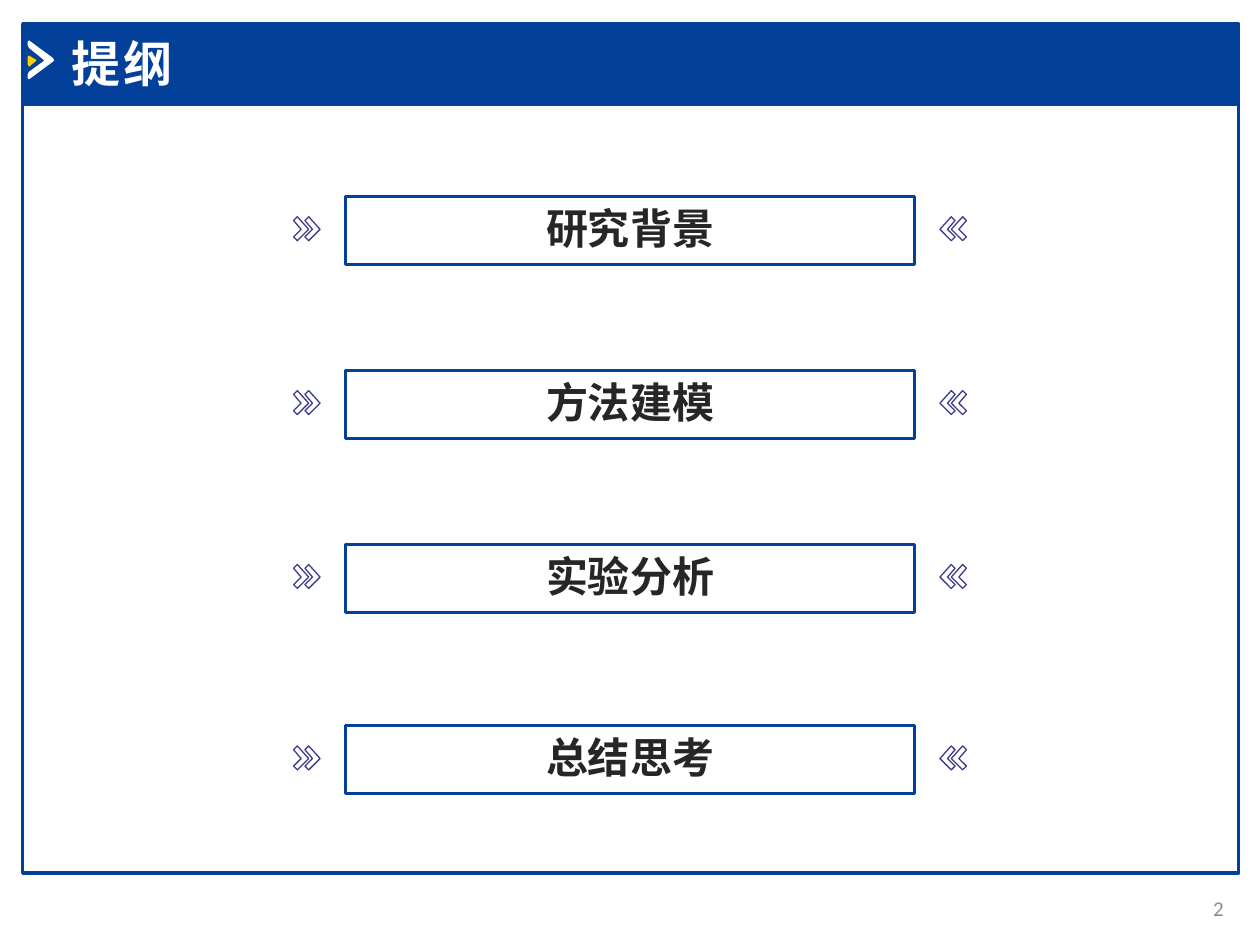
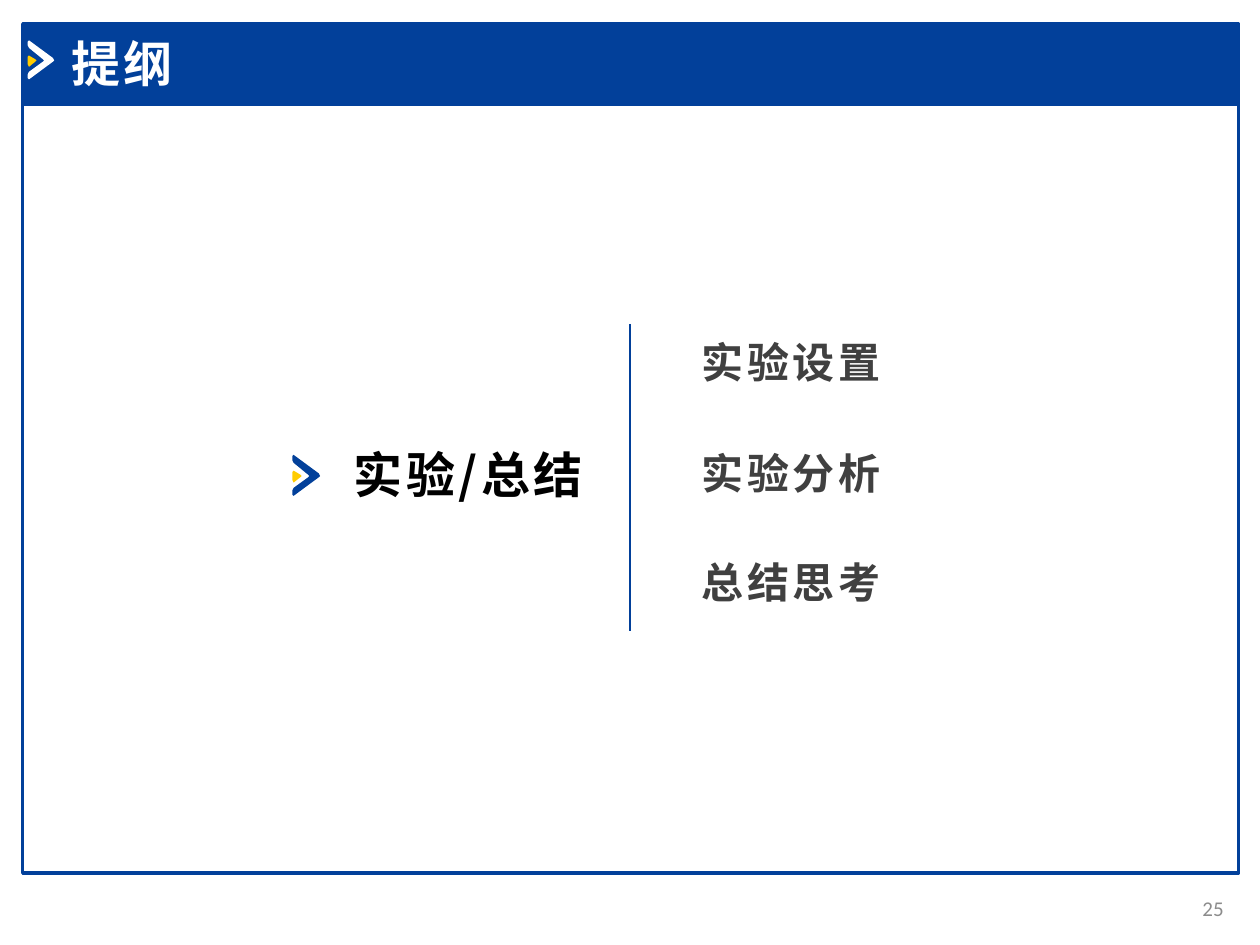
"""Build the outline slide and the section slide of a research talk."""
from dataclasses import dataclass

from lxml.etree import SubElement as Sub
from pptx import Presentation
from pptx.dml.color import RGBColor as Rgb
from pptx.enum.shapes import MSO_CONNECTOR as Link, MSO_SHAPE as Form
from pptx.enum.text import MSO_ANCHOR as Anchor, PP_ALIGN as Align
from pptx.oxml.ns import qn
from pptx.shapes.autoshape import Shape
from pptx.slide import Slide
from pptx.util import Inches, Pt

HUES = {
    "blue": "02409A", "gold": "FFCC00", "white": "FFFFFF", "gray": "8C8C8C",
    "ink": "262626", "dark": "404040", "black": "000000", "edge": "3C3C8E",
}
SANS, HAN = "Calibri", "Noto Sans CJK SC"
MID = 5

HEAD = [(.01, 0), (0, .01), (0, .04), (.01, .06), (.12, .15), (.13, .16),
        (.12, .17), (.01, .25), (0, .27), (0, .3), (.01, .31), (.2, .17),
        (.21, .16), (.2, .14)]
DOT = [(.01, .12), (0, .13), (0, .19), (.01, .21), (.06, .17), (.07, .16),
       (.06, .15)]
HOOK = [(.03, 0), (0, .03), (.06, .1), (0, .16), (.03, .19), (.12, .1)]


@dataclass
class Box:
    left: float
    top: float
    width: float
    height: float

    def args(self) -> tuple:
        return tuple(map(Inches, (self.left, self.top, self.width, self.height)))


@dataclass
class Item:
    text: str
    top: float
    width: float = 4.52


FRAME = Box(.18, .83, 9.65, 6.1)
BAND = Box(.18, .19, 9.65, .64)
TITLE = Box(.47, .22, 3.56, .61)
PAGE = Box(9.22, 7.01, .59, .4)
PARTS = [Item("研究背景", 1.56), Item("方法建模", 2.94),
         Item("实验分析", 4.32), Item("总结思考", 5.76)]
STEPS = [Item("实验设置", 2.62, 2.58), Item("实验分析", 3.5, 2.58),
         Item("总结思考", 4.37, 3.03)]


def tint(name: str) -> Rgb:
    return Rgb.from_string(HUES[name])


def paint(shape: Shape, fill: str = "", line: str = "", width: float = 1) -> Shape:
    shape.shadow.inherit = False
    if fill:
        shape.fill.solid()
        shape.fill.fore_color.rgb = tint(fill)
    else:
        shape.fill.background()
    if line:
        shape.line.color.rgb = tint(line)
        shape.line.width = Pt(width)
    else:
        shape.line.fill.background()
    return shape


def write(shape: Shape, text: str, *, size: float, hue: str, font: str = HAN,
          bold: bool = True, gap: float = 0, align: Align = Align.LEFT,
          anchor: Anchor = Anchor.TOP) -> None:
    frame = shape.text_frame
    frame.word_wrap = True
    frame.vertical_anchor = anchor
    para = frame.paragraphs[0]
    para.alignment = align
    run = para.add_run()
    run.text = text
    run.font.size, run.font.bold, run.font.name = Pt(size), bold, font
    run.font.color.rgb = tint(hue)
    props = run._r.get_or_add_rPr()
    Sub(props, qn("a:ea")).set("typeface", HAN)
    if gap:
        props.set("spc", str(int(gap * 100)))


def label(slide: Slide, box: Box, text: str, **style) -> None:
    write(slide.shapes.add_textbox(*box.args()), text, **style)


def panel(slide: Slide, box: Box, **look) -> Shape:
    return paint(slide.shapes.add_shape(Form.RECTANGLE, *box.args()), **look)


def trace(slide: Slide, dots: list, left: float, top: float, wide: float = 1,
          high: float = 1, **look) -> None:
    path = [(Inches(left + x * wide), Inches(top + y * high)) for x, y in dots]
    pen = slide.shapes.build_freeform(*path[0])
    pen.add_line_segments(path[1:], close=True)
    paint(pen.convert_to_shape(), **look)


def mark(slide: Slide, left: float, top: float, hue: str, scale: float = 1) -> None:
    for dots, fill in ((HEAD, hue), (DOT, "gold")):
        trace(slide, dots, left, top, scale, scale, fill=fill)


def start(deck: Presentation, page: int) -> Slide:
    slide = deck.slides.add_slide(deck.slide_layouts[6])
    panel(slide, FRAME, line="blue", width=2)
    panel(slide, BAND, fill="blue", line="blue", width=2)
    mark(slide, .22, .32, "white")
    label(slide, PAGE, str(page), size=12, hue="gray", font=SANS, bold=False,
          align=Align.RIGHT, anchor=Anchor.MIDDLE)
    label(slide, TITLE, "提纲", size=28, hue="white", font=SANS, gap=2)
    return slide


def outline(deck: Presentation) -> None:
    slide = start(deck, 2)
    for part in PARTS:
        box = Box(MID - part.width / 2, part.top, part.width, .54)
        write(panel(slide, box, line="blue", width=1.5), part.text,
              size=24, hue="ink", align=Align.CENTER)
        for side in (1, -1):
            for far in (2.67, 2.58):
                trace(slide, HOOK, MID - side * far, part.top + .16, side,
                      line="edge", width=.75)


def section(deck: Presentation) -> None:
    slide = start(deck, 25)
    label(slide, Box(2.71, 3.48, 2.36, .61), "实验/总结",
          size=28, hue="black", gap=2)
    mark(slide, 2.32, 3.61, "blue", 1.05)
    for step in STEPS:
        label(slide, Box(5.47, step.top, step.width, .54), step.text,
              size=24, hue="dark", gap=2)
    rule = slide.shapes.add_connector(
        Link.STRAIGHT, Inches(MID), Inches(2.57), Inches(MID), Inches(5.01))
    rule.line.color.rgb = tint("blue")
    rule.line.width = Pt(1.5)
    Sub(rule._element.spPr, qn("a:effectLst"))


def main() -> None:
    deck = Presentation()
    deck.slide_width, deck.slide_height = Inches(10), Inches(7.5)
    outline(deck)
    section(deck)
    deck.save("out.pptx")


if __name__ == "__main__":
    main()
